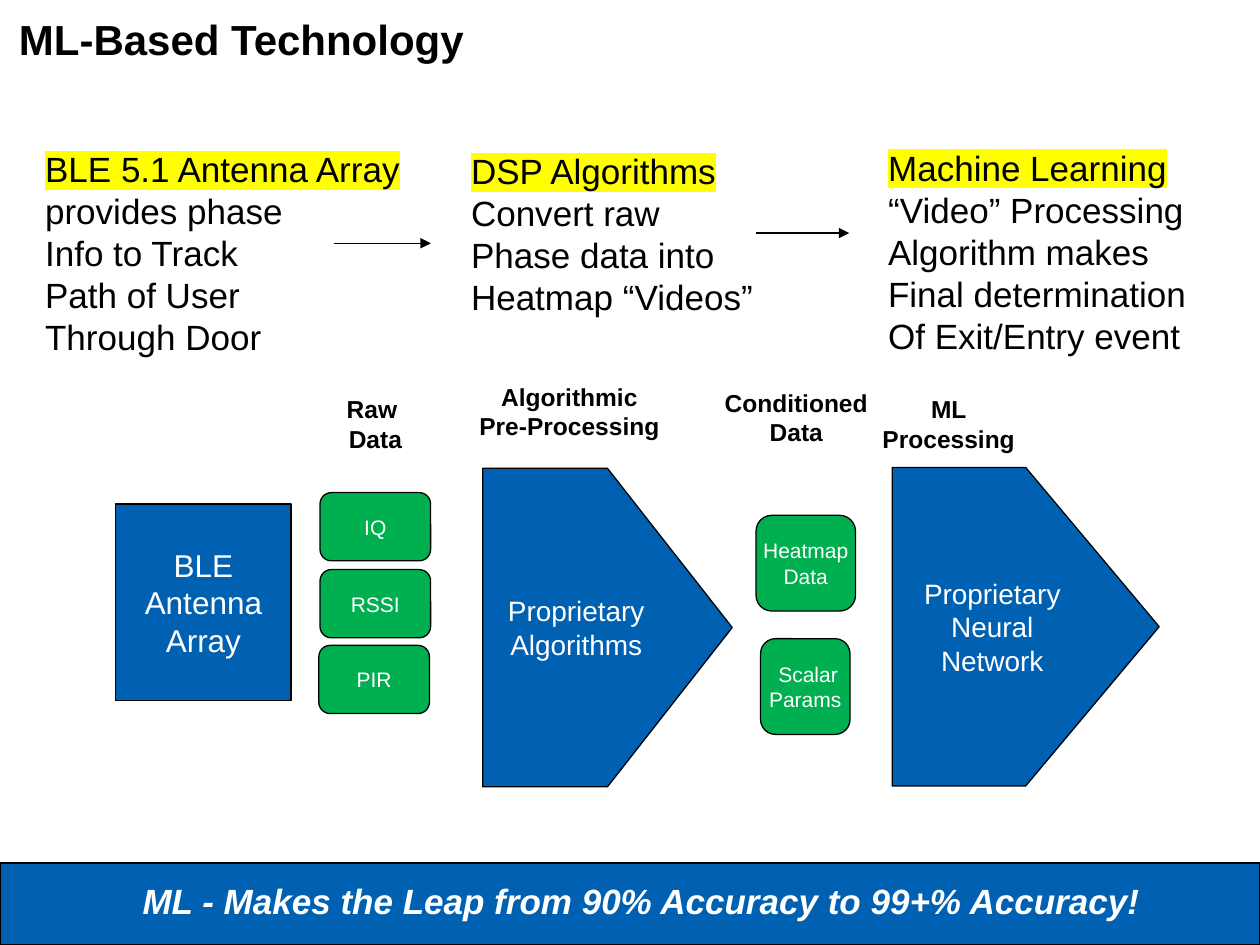
from lxml.etree import SubElement
from pptx import Presentation
from pptx.dml.color import RGBColor
from pptx.enum.shapes import MSO_CONNECTOR, MSO_SHAPE
from pptx.enum.text import MSO_ANCHOR, PP_ALIGN
from pptx.oxml.ns import qn
from pptx.util import Pt

BLUE, GREEN, BLACK, WHITE, YELLOW = "0061B2", "00B050", "000000", "FFFFFF", "FFFF00"


def color(hex_value):
    """Turn a hex string into a colour."""
    return RGBColor.from_string(hex_value)


def write(holder, lines, size, ink, align=PP_ALIGN.CENTER, wrap=False,
          highlight=None, **styles):
    """Write one paragraph per line, optionally highlighting the first."""
    frame = holder.text_frame
    frame.word_wrap = wrap
    for index, line in enumerate(lines):
        paragraph = frame.paragraphs[0] if index == 0 else frame.add_paragraph()
        paragraph.alignment = align
        run = paragraph.add_run()
        run.text = line
        run.font.color.rgb = color(ink)
        if highlight and index == 0:
            mark = SubElement(run.font._element, qn("a:highlight"))
            SubElement(mark, qn("a:srgbClr"), val=highlight)
        for name, value in {"name": "Arial", "size": Pt(size), **styles}.items():
            setattr(run.font, name, value)
    return frame


def add_block(slide, kind, box, fill, lines=(), size=12):
    """Add a filled, outlined shape with centred white text."""
    block = slide.shapes.add_shape(kind, *map(Pt, box))
    block.shadow.inherit = False
    block.fill.solid()
    block.fill.fore_color.rgb = color(fill)
    block.line.color.rgb = color(BLACK)
    block.line.width = Pt(0.75)
    if lines:
        write(block, lines, size, WHITE).vertical_anchor = MSO_ANCHOR.MIDDLE


def add_label(slide, box, lines, size, ink=BLACK, **options):
    """Add a text box."""
    label = slide.shapes.add_textbox(*map(Pt, box))
    return write(label, lines, size, ink, **options)


def add_arrow(slide, left, right, y):
    """Add a thin horizontal arrow pointing right."""
    arrow = slide.shapes.add_connector(
        MSO_CONNECTOR.STRAIGHT, Pt(left), Pt(y), Pt(right), Pt(y))
    arrow.line.color.rgb = color(BLACK)
    arrow.line.width = Pt(0.75)
    SubElement(arrow.line._get_or_add_ln(), qn("a:tailEnd"), type="triangle")
    SubElement(arrow._element.spPr, qn("a:effectLst"))


def add_title(slide, text):
    """Add the slide title."""
    frame = add_label(slide, (10.8, 0, 576.7, 47.5), [text], 24,
                      align=PP_ALIGN.LEFT, wrap=True, bold=True)
    frame.margin_left = frame.margin_right = 0
    frame.vertical_anchor = MSO_ANCHOR.MIDDLE
    frame.paragraphs[0].line_spacing = 0.95


def add_stages(slide):
    """Add the three stage descriptions and the arrows between them."""
    stages = [
        ((18.7, 80.6, 218.9, 128.2),
         ["BLE 5.1 Antenna Array", "provides phase", "Info to Track",
          "Path of User", "Through Door"]),
        ((262.1, 82.1, 177.1, 128.2),
         ["DSP Algorithms", "Convert raw", "Phase data into", "Heatmap “Videos”"]),
        ((500.4, 79.9, 186.5, 152.6),
         ["Machine Learning", "“Video” Processing", "Algorithm makes",
          "Final determination", "Of Exit/Entry event"]),
    ]
    for box, lines in stages:
        add_label(slide, box, lines, 20, align=PP_ALIGN.LEFT, highlight=YELLOW)
    add_arrow(slide, 190.8, 246.2, 139)
    add_arrow(slide, 432, 485.3, 133.2)


def add_pipeline(slide):
    """Add the processing pipeline and its headings."""
    headings = [
        ((190.8, 221.8, 47.5, 41), ["Raw ", "Data"]),
        ((266.4, 214.6, 118.1, 41), ["Algorithmic", "Pre-Processing"]),
        ((406.8, 218.2, 96.5, 41), ["Conditioned", "Data"]),
        ((496.8, 221.8, 90.7, 41), ["ML", "Processing"]),
    ]
    for box, lines in headings:
        add_label(slide, box, lines, 14, bold=True)

    add_block(slide, MSO_SHAPE.RECTANGLE, (66.2, 288, 100.1, 112.3), BLUE,
              ["BLE", "Antenna", "Array"], 18)
    processors = [
        ((275.8, 267.6, 142.6, 182), ["Proprietary", "Algorithms"]),
        ((509.8, 267.1, 152.6, 182), ["Proprietary", "Neural", "Network"]),
    ]
    for box, lines in processors:
        add_block(slide, MSO_SHAPE.PENTAGON, box, BLUE, lines, 16)
    data = [
        ((182.9, 281.5, 63.2, 39), ["IQ"]),
        ((182.9, 325.5, 63.2, 39), ["RSSI"]),
        ((182.2, 368.8, 63.2, 39), ["PIR"]),
        ((432, 294.5, 56.9, 54.7), ["Heatmap", "Data"]),
        ((434.6, 365, 51.1, 54.7), [" Scalar", "Params"]),
    ]
    for box, lines in data:
        add_block(slide, MSO_SHAPE.ROUNDED_RECTANGLE, box, GREEN, lines)


def add_banner(slide):
    """Add the closing message across the foot of the slide."""
    add_block(slide, MSO_SHAPE.RECTANGLE, (0, 493.2, 720, 46.8), BLUE)
    add_label(slide, (13, 499, 707, 31.7),
              ["ML - Makes the Leap from 90% Accuracy to 99+% Accuracy!"],
              20, WHITE, wrap=True, bold=True, italic=True)


def main():
    """Build and save the slide."""
    deck = Presentation()
    deck.slide_width, deck.slide_height = Pt(720), Pt(540)
    slide = deck.slides.add_slide(deck.slide_layouts[6])
    add_title(slide, "ML-Based Technology")
    add_stages(slide)
    add_pipeline(slide)
    add_banner(slide)
    deck.save("out.pptx")


if __name__ == "__main__":
    main()
